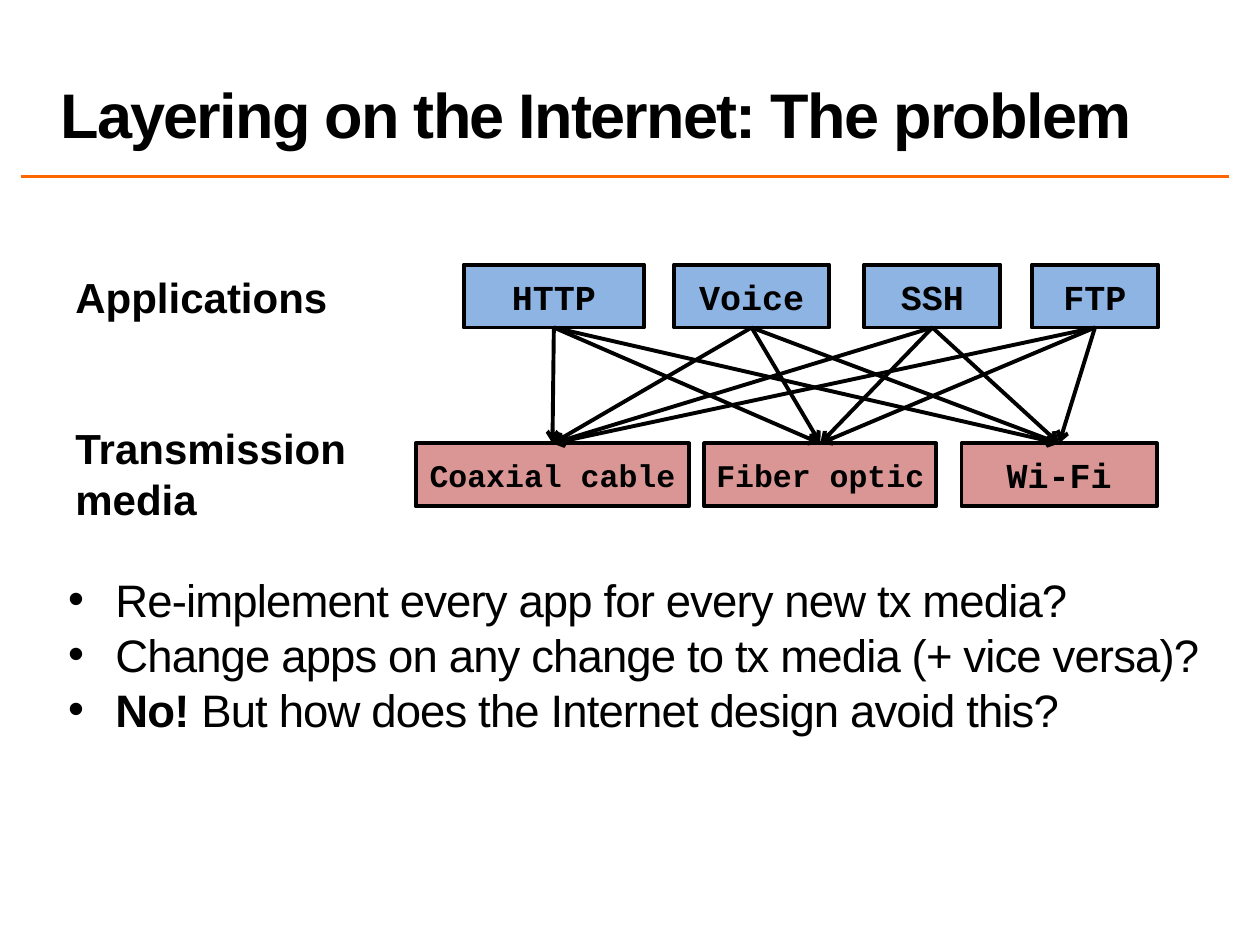
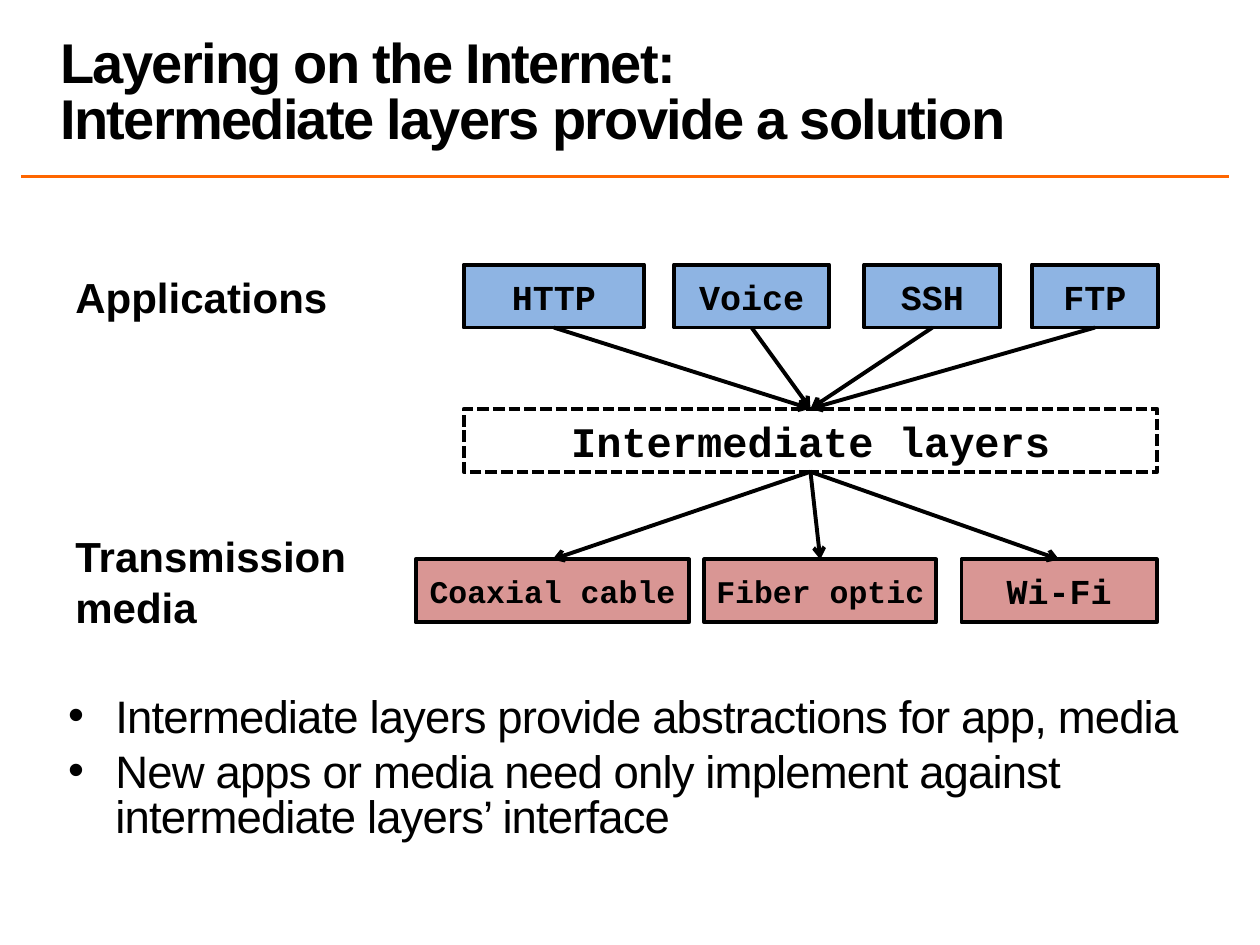
from itertools import product

from lxml.etree import SubElement
from pptx import Presentation
from pptx.dml.color import RGBColor
from pptx.enum.dml import MSO_LINE
from pptx.enum.shapes import MSO_CONNECTOR, MSO_SHAPE
from pptx.enum.text import MSO_ANCHOR, MSO_AUTO_SIZE, PP_ALIGN
from pptx.oxml.ns import qn
from pptx.util import Pt

BLACK = RGBColor(0x00, 0x00, 0x00)
ORANGE = RGBColor(0xFF, 0x66, 0x00)
BLUE = RGBColor(0x8E, 0xB4, 0xE3)
ROSE = RGBColor(0xD9, 0x96, 0x94)

SANS = "Arial"
MONO = "Courier New"
EDGE = 2.25
HIGH = 36

APPS = [("HTTP", 265, 103, 20), ("Voice", 385.2, 88.6, 20),
        ("SSH", 493.9, 77.8, 20), ("FTP", 589.7, 72, 20)]
MEDIA = [("Coaxial cable", 237.6, 156.2, 18), ("Fiber optic", 402.5, 132.5, 18),
         ("Wi-Fi", 549.4, 111.6, 20)]


class Deck:
    def __init__(self):
        self.show = Presentation()
        self.show.slide_width = Pt(720)
        self.show.slide_height = Pt(540)
        self.slide = None

    def start(self, title, size):
        self.slide = self.show.slides.add_slide(self.show.slide_layouts[6])
        self.line((12.2, 100.8), (702, 100.8), ORANGE, 2)
        frame = self.text(27.4, 5.8, 674.6, 84.2)
        frame.word_wrap = True
        frame.vertical_anchor = MSO_ANCHOR.BOTTOM
        para = frame.paragraphs[0]
        para.text = title
        para.line_spacing = 0.84
        self.style(para, size, bold=True, gap=-1)

    def style(self, para, size, face=SANS, bold=False, gap=0):
        for run in para.runs:
            font = run.font
            font.name, font.size, font.bold = face, Pt(size), bold
            font.color.rgb = BLACK
            if gap:
                run._r.get_or_add_rPr().set("spc", str(int(gap * 100)))

    def text(self, left, top, width, height):
        box = self.slide.shapes.add_textbox(Pt(left), Pt(top), Pt(width), Pt(height))
        return box.text_frame

    def label(self, text, top, width, height):
        frame = self.text(36, top, width, height)
        frame.word_wrap = False
        frame.auto_size = MSO_AUTO_SIZE.SHAPE_TO_FIT_TEXT
        frame.text = text
        for para in frame.paragraphs:
            para.line_spacing = Pt(29)
            self.style(para, 24, bold=True)

    def points(self, items, top, width, height):
        frame = self.text(36, top, width, height)
        frame.word_wrap = True
        frame.margin_left = frame.margin_right = Pt(3)
        frame.margin_top = frame.margin_bottom = Pt(3)
        for num, (lead, rest) in enumerate(items):
            para = frame.add_paragraph() if num else frame.paragraphs[0]
            props = para._p.get_or_add_pPr()
            props.set("marL", str(Pt(27)))
            props.set("indent", str(-Pt(27)))
            SubElement(props, qn("a:buFont")).set("typeface", SANS)
            SubElement(props, qn("a:buChar")).set("char", "•")
            para.line_spacing = 0.83
            if num:
                para.space_before = Pt(5.5)
            for part in filter(None, (lead, rest)):
                para.add_run().text = part
            self.style(para, 26, gap=-0.5)
            if lead:
                para.runs[0].font.bold = True

    def box(self, text, left, top, width, size, fill=None):
        shape = self.slide.shapes.add_shape(
            MSO_SHAPE.RECTANGLE, Pt(left), Pt(top), Pt(width), Pt(HIGH))
        shape.shadow.inherit = False
        if fill is None:
            shape.fill.background()
        else:
            shape.fill.solid()
            shape.fill.fore_color.rgb = fill
        shape.line.color.rgb = BLACK
        shape.line.width = Pt(EDGE)
        frame = shape.text_frame
        frame.word_wrap = False
        frame.vertical_anchor = MSO_ANCHOR.MIDDLE
        frame.text = text
        para = frame.paragraphs[0]
        para.alignment = PP_ALIGN.CENTER
        self.style(para, size, MONO, True)
        return shape

    def row(self, items, top, fill):
        return [self.box(text, left, top, width, size, fill)
                for text, left, width, size in items]

    def line(self, start, end, color, width):
        link = self.slide.shapes.add_connector(
            MSO_CONNECTOR.STRAIGHT, *map(Pt, start + end))
        link.line.color.rgb = color
        link.line.width = Pt(width)
        SubElement(link._element.spPr, qn("a:effectLst"))
        return link

    def arrows(self, tops, lows):
        for top, low in product(tops, lows):
            link = self.line((0, 0), (0, 0), BLACK, EDGE)
            link.begin_connect(top, 2)
            link.end_connect(low, 0)
            ln = link._element.spPr.find(qn("a:ln"))
            SubElement(ln, qn("a:tailEnd")).set("type", "arrow")

    def layers(self, label, low):
        self.label("Applications", 151.2, 159.8, 36)
        self.label("Transmission\nmedia", label, 177.1, 65.5)
        return self.row(APPS, 151.2, BLUE), self.row(MEDIA, low, ROSE)


def main():
    deck = Deck()

    deck.start("Layering on the Internet: The problem", 36)
    apps, media = deck.layers(237.6, 253.4)
    deck.arrows(apps, media)
    deck.points([
        ("", "Re-implement every app for every new tx media?"),
        ("", "Change apps on any change to tx media (+ vice versa)?"),
        ("No!", " But how does the Internet design avoid this?"),
    ], 329, 684, 176.4)

    deck.start("Layering on the Internet:\vIntermediate layers provide a solution", 32)
    apps, media = deck.layers(299.5, 319.7)
    middle = deck.box("Intermediate layers", 265, 233.6, 396.3, 24)
    middle.line.dash_style = MSO_LINE.SQUARE_DOT
    deck.arrows(apps, [middle])
    deck.arrows([middle], media)
    deck.points([
        ("", "Intermediate layers provide abstractions for app, media"),
        ("", "New apps or media need only implement against "
             "intermediate layers’ interface"),
    ], 395.3, 648, 128.2)

    deck.show.save("out.pptx")


if __name__ == "__main__":
    main()
